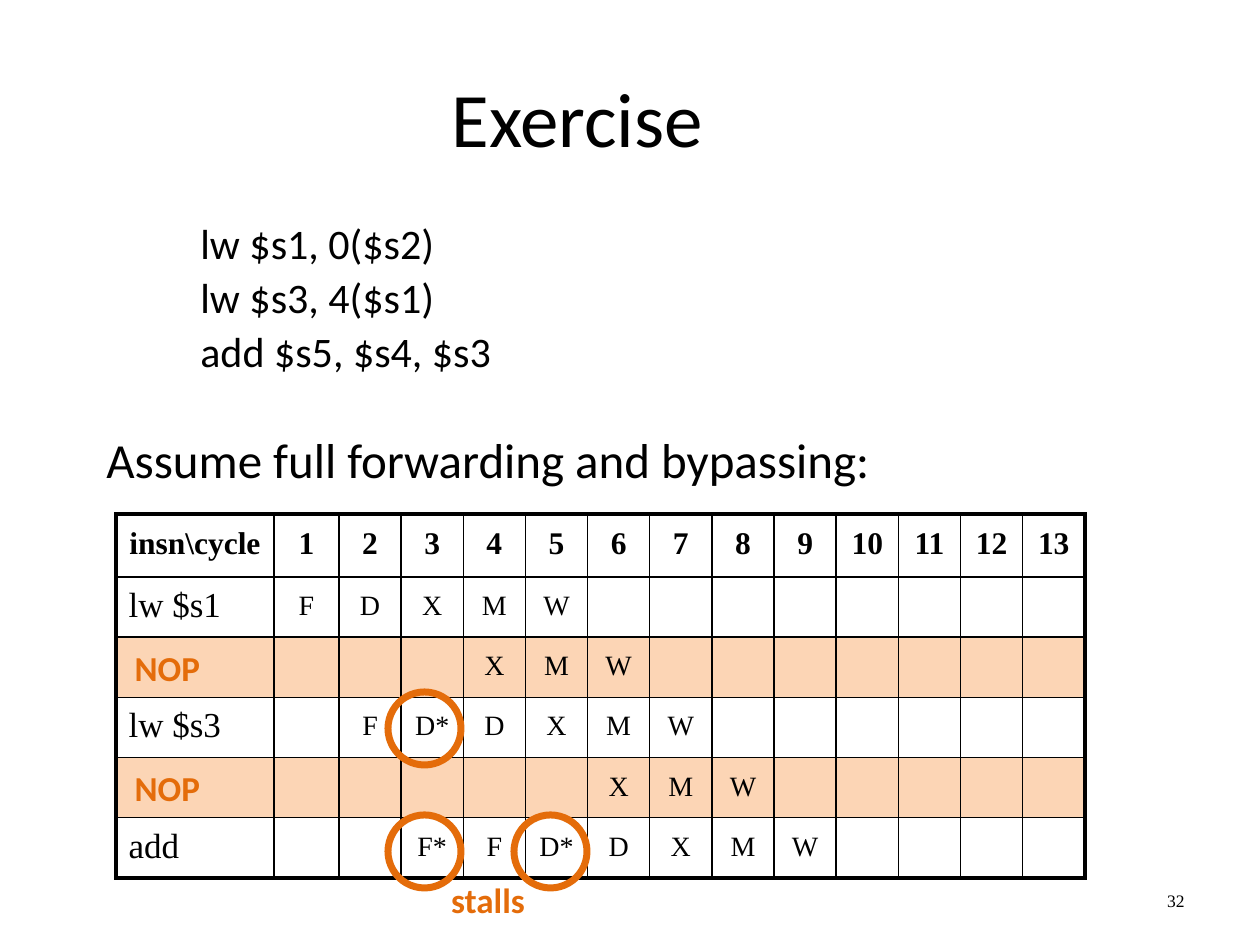
import pptx
import pptx.dml.color
import pptx.enum.shapes
import pptx.enum.text
import pptx.oxml
import pptx.oxml.ns
import pptx.util

PX = 7257.14  # EMU per px, 126 px to the inch
BLACK = pptx.dml.color.RGBColor(0x00, 0x00, 0x00)
ORANGE = pptx.dml.color.RGBColor(0xE4, 0x6C, 0x0A)
PEACH = pptx.dml.color.RGBColor(0xFC, 0xD5, 0xB5)
SANS, SERIF = "Calibri", "Times New Roman"
ALIGN = pptx.enum.text.PP_ALIGN
ANCHOR = pptx.enum.text.MSO_ANCHOR

CODE = ["lw $s1, 0($s2)", "lw $s3, 4($s1)", "add $s5, $s4, $s3"]
CYCLES = 13
# instruction, first cycle shown, pipeline stages
PIPELINE = [
    ("lw $s1", 1, "F D X M W"),
    ("", 4, "X M W"),
    ("lw $s3", 2, "F D* D X M W"),
    ("", 6, "X M W"),
    ("add", 3, "F* F D* D X M W"),
]


def px(n):
    return pptx.util.Emu(round(n * PX))


def style(p, size, face=SANS, color=BLACK, bold=False, align=ALIGN.LEFT):
    p.alignment = align
    for r in p.runs:
        r.font.size = pptx.util.Pt(size)
        r.font.name = face
        r.font.color.rgb = color
        r.font.bold = bold


def add_text(s, box, text, size, wrap=True, anchor=ANCHOR.MIDDLE, **look):
    tf = s.shapes.add_textbox(*map(px, box)).text_frame
    tf.word_wrap = wrap
    tf.vertical_anchor = anchor
    tf.text = text
    for p in tf.paragraphs:
        style(p, size, **look)
    return tf


def add_body(s, box):
    tf = add_text(s, box, "\n".join(CODE), 24, anchor=ANCHOR.TOP)
    for i, p in enumerate(tf.paragraphs):
        p.line_spacing = 0.9
        p.space_before = pptx.util.Pt(5 if i else 0)
        p._p.get_or_add_pPr().set("marL", str(px(94)))
    p = tf.add_paragraph()
    p.text = "Assume full forwarding and bypassing:"
    p.line_spacing = 0.8
    p.space_before = pptx.util.Pt(37)
    style(p, 28)


def set_borders(cell, widths):
    tcPr = cell._tc.get_or_add_tcPr()
    for side, width in widths.items():
        tcPr.append(pptx.oxml.parse_xml(
            f'<a:ln{side} {pptx.oxml.ns.nsdecls("a")} w="{pptx.util.Pt(width)}">'
            f'<a:solidFill><a:srgbClr val="{BLACK}"/></a:solidFill></a:ln{side}>'))


def add_pipeline_table(s, box):
    rows = [["insn\\cycle"] + [str(c + 1) for c in range(CYCLES)]]
    for name, start, stages in PIPELINE:
        row = [name] + [""] * CYCLES
        stages = stages.split()
        row[start:start + len(stages)] = stages
        rows.append(row)
    last_row, last_col = len(rows) - 1, CYCLES

    table = s.shapes.add_table(len(rows), CYCLES + 1, *map(px, box)).table
    table.first_row = table.horz_banding = False
    for j, col in enumerate(table.columns):
        col.width = px({0: 158, 1: 65}.get(j, 62.2))
    for i, row in enumerate(table.rows):
        row.height = px(60.2 if i else 63)

    for i, row in enumerate(rows):
        for j, text in enumerate(row):
            cell = table.cell(i, j)
            set_borders(cell, {
                "L": 2.25 if j == 0 else 1,
                "R": 2.25 if j == last_col else 1,
                "T": 2.25 if i == 0 else 1,
                "B": 2.25 if i == last_row else 1,
            })
            if row[0]:
                cell.fill.background()
            else:  # inserted NOP row
                cell.fill.solid()
                cell.fill.fore_color.rgb = PEACH
            cell.vertical_anchor = ANCHOR.MIDDLE
            cell.text = text
            p = cell.text_frame.paragraphs[0]
            p.line_spacing = 0.9
            size = 18 if i == 0 else 16 if j else 20
            align = ALIGN.LEFT if i and j == 0 else ALIGN.CENTER
            style(p, size, SERIF, bold=i == 0, align=align)


def add_stall_marks(s, box):
    left, top = box[:2]
    # Rings around the stalled stages
    for x, y in [(272, 178), (272, 301), (398, 301)]:
        ring = s.shapes.add_shape(pptx.enum.shapes.MSO_SHAPE.OVAL,
                                  *map(px, (left + x, top + y, 73, 73)))
        ring.shadow.inherit = False
        ring.fill.background()
        ring.line.color.rgb = ORANGE
        ring.line.width = pptx.util.Pt(4)
    # Labels
    for text, x, y, w in [("stalls", 322, 358, 100),
                          ("NOP", 6, 126, 91), ("NOP", 6, 246, 91)]:
        add_text(s, (left + x, top + y, w, 55), text, 20, wrap=False,
                 color=ORANGE, bold=True, align=ALIGN.CENTER)


def main():
    prs = pptx.Presentation()
    prs.slide_width, prs.slide_height = px(1260), px(945)
    s = prs.slides.add_slide(prs.slide_layouts[6])
    table_box = (116, 514, 969, 364)

    add_text(s, (63, 38, 1029, 157), "Exercise", 44, align=ALIGN.CENTER)
    add_body(s, (94, 217, 1071, 287))
    add_text(s, (1050, 876, 147, 50), "32", 10, face=SERIF, align=ALIGN.RIGHT)
    add_pipeline_table(s, table_box)
    add_stall_marks(s, table_box)
    prs.save("out.pptx")


if __name__ == "__main__":
    main()
